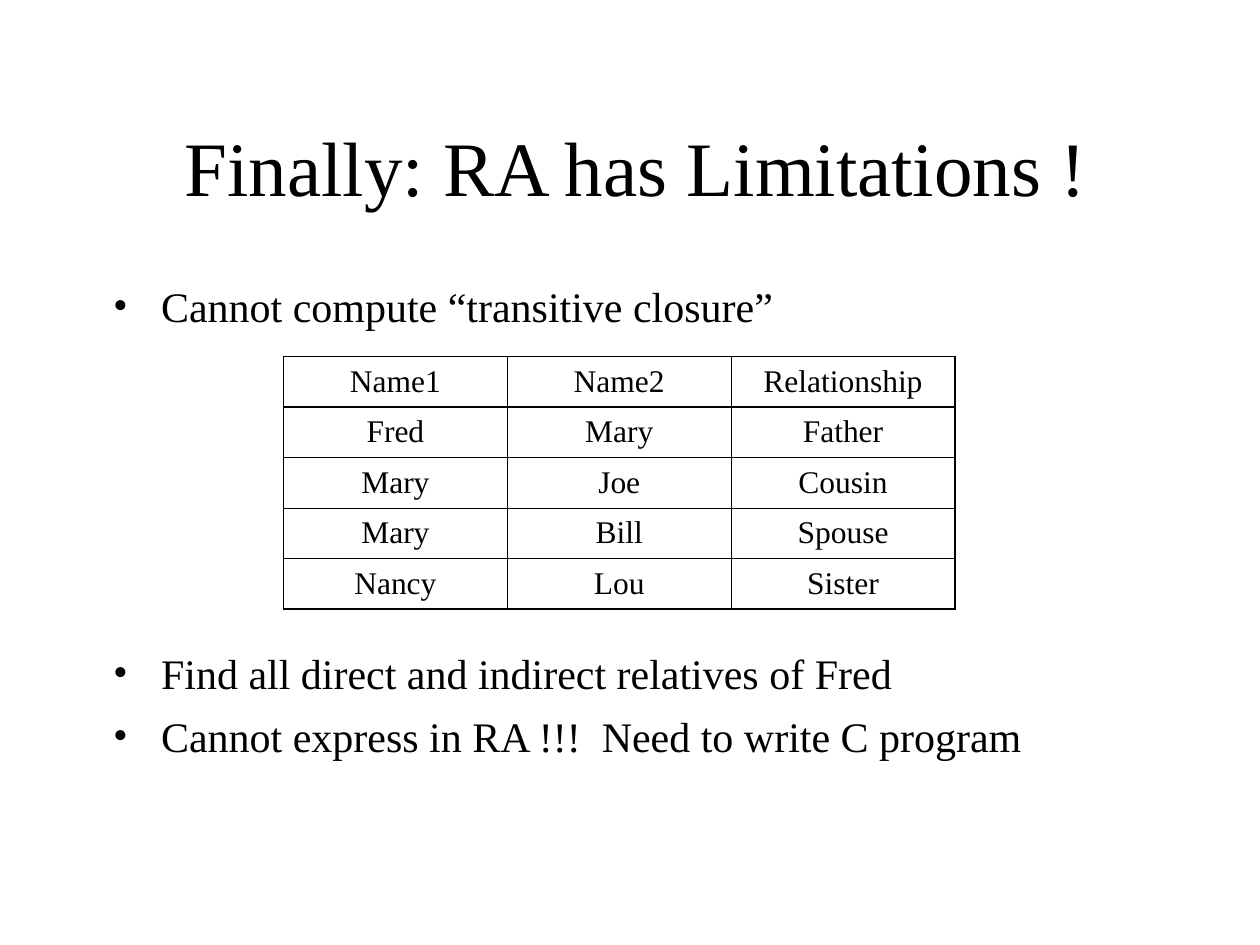
"""Build the slide on the limitations of relational algebra."""
from lxml import etree
from pptx import Presentation, util as u
from pptx.dml.color import RGBColor
from pptx.enum import text
from pptx.oxml import ns

BLACK = RGBColor(0, 0, 0)
WHITE = RGBColor(255, 255, 255)
FONT = "Times New Roman"
THICK, THIN = 1.08, 0.45
RELATIVES = [
    ("Name1", "Name2", "Relationship"),
    ("Fred", "Mary", "Father"),
    ("Mary", "Joe", "Cousin"),
    ("Mary", "Bill", "Spouse"),
    ("Nancy", "Lou", "Sister"),
]
POINTS = [
    ("Cannot compute “transitive closure”", 6),
    ("Find all direct and indirect relatives of Fred", 181),
    ("Cannot express in RA !!!  Need to write C program", 7),
]


class SlideBuilder:
    def __init__(self, deck):
        self.deck = deck
        self.slide = deck.slides.add_slide(deck.slide_layouts[5])

    def box(self, left, top, width, height):
        wide, high = self.deck.slide_width, self.deck.slide_height
        return [round(share * side) for share, side in
                zip((left, top, width, height), (wide, high, wide, high))]

    def add_text(self, paragraph, wording, size, before=0, align=None):
        paragraph.alignment = align
        paragraph.space_before = u.Pt(before)
        run = paragraph.add_run()
        run.text = wording
        run.font.size = u.Pt(size)
        run.font.name = FONT
        run.font.color.rgb = BLACK

    def title(self, wording, *shares):
        heading = self.slide.shapes.title
        heading.left, heading.top, heading.width, heading.height = self.box(*shares)
        heading.text_frame.vertical_anchor = text.MSO_ANCHOR.MIDDLE
        self.add_text(heading.text_frame.paragraphs[0], wording, 44,
                      align=text.PP_ALIGN.CENTER)

    def bullets(self, points, *shares):
        frame = self.slide.shapes.add_textbox(*self.box(*shares)).text_frame
        frame.word_wrap = True
        for index, (wording, before) in enumerate(points):
            paragraph = frame.add_paragraph() if index else frame.paragraphs[0]
            self.add_text(paragraph, wording, 24, before, text.PP_ALIGN.LEFT)
            props = paragraph._p.get_or_add_pPr()
            props.set("marL", str(u.Inches(0.38)))
            props.set("indent", str(u.Inches(-0.38)))
            etree.SubElement(props, ns.qn("a:buFont"), typeface=FONT)
            etree.SubElement(props, ns.qn("a:buChar"), char="•")

    def borders(self, cell, widths):
        props = cell._tc.get_or_add_tcPr()
        for index, (side, width) in enumerate(zip("LRTB", widths)):
            line = etree.Element(ns.qn(f"a:ln{side}"), w=str(u.Pt(width)))
            fill = etree.SubElement(line, ns.qn("a:solidFill"))
            etree.SubElement(fill, ns.qn("a:srgbClr"), val=str(BLACK))
            props.insert(index, line)

    def table(self, rows, *shares):
        last_row, last_col = len(rows) - 1, len(rows[0]) - 1
        grid = self.slide.shapes.add_table(
            len(rows), len(rows[0]), *self.box(*shares)).table
        grid.horz_banding = False
        for r, row in enumerate(rows):
            for c, wording in enumerate(row):
                cell = grid.cell(r, c)
                cell.vertical_anchor = text.MSO_ANCHOR.MIDDLE
                cell.fill.solid()
                cell.fill.fore_color.rgb = WHITE
                self.add_text(cell.text_frame.paragraphs[0], wording, 18, 4.5,
                              text.PP_ALIGN.CENTER)
                thick = (c == 0, c == last_col, r in (0, 1), r in (0, last_row))
                self.borders(cell, [THICK if edge else THIN for edge in thick])


def main():
    deck = Presentation()
    deck.slide_width, deck.slide_height = u.Inches(10), u.Inches(7.5)
    builder = SlideBuilder(deck)
    builder.title("Finally: RA has Limitations !", 0.08, 0.09, 0.85, 0.17)
    builder.bullets(POINTS, 0.08, 0.29, 0.87, 0.6)
    builder.table(RELATIVES, 2.25 / 10, 2.83 / 7.5, 5.33 / 10, 2 / 7.5)
    deck.save("out.pptx")


if __name__ == "__main__":
    main()
